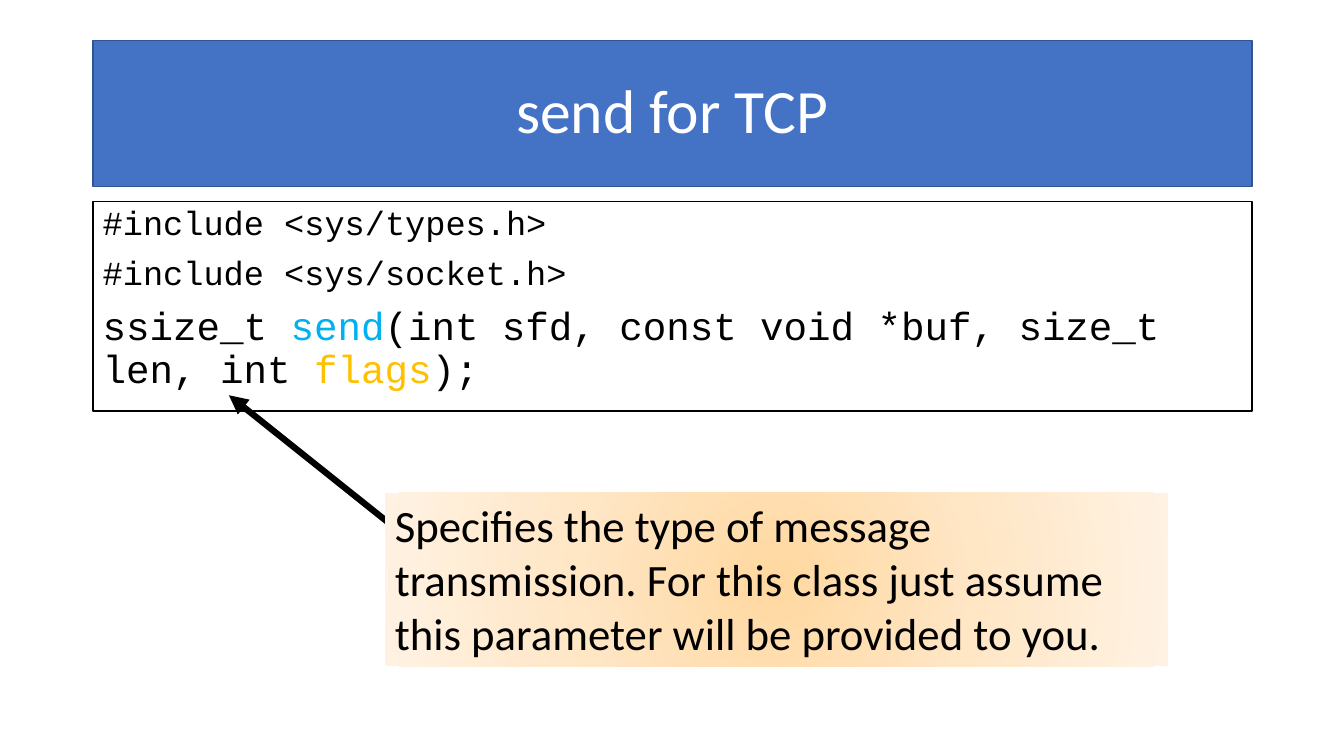
from lxml import etree
from pptx import Presentation
from pptx import util as u
from pptx.dml.color import RGBColor
from pptx.enum import shapes, text
from pptx.oxml import parse_xml
from pptx.oxml.ns import nsdecls, qn

INK = {
    "blue": "4472C4", "edge": "325491", "white": "FFFFFF", "black": "000000",
    "sky": "00B0F0", "gold": "FFC000",
    "core": "FFD8A0", "mid": "FFE6C5", "rim": "FFF2E3",
}


def rgb(name):
    return RGBColor.from_string(INK[name])


class Deck:
    sans, mono = "Calibri", "Courier New"

    def __init__(self):
        self.prs = Presentation()
        self.prs.slide_width, self.prs.slide_height = u.Cm(33.87), u.Cm(19.05)
        self.slide = self.prs.slides.add_slide(self.prs.slide_layouts[6])

    def box(self, left, top, wide, high, fill=None, line=None, anchor="TOP"):
        """Add a rectangle, with a solid fill and a line where given."""
        box = self.slide.shapes.add_shape(
            shapes.MSO_SHAPE.RECTANGLE, *map(u.Cm, (left, top, wide, high)))
        box.shadow.inherit = False
        if fill:
            box.fill.solid()
            box.fill.fore_color.rgb = rgb(fill)
        if line:
            box.line.color.rgb = rgb(line)
            box.line.width = u.Pt(1)
        else:
            box.line.fill.background()
        box.text_frame.word_wrap = True
        box.text_frame.vertical_anchor = text.MSO_ANCHOR[anchor]
        return box

    def glow(self, box, *stops):
        """Fill a box with a round gradient from its centre outwards."""
        box.fill.gradient()
        props = box._element.spPr
        step = 100000 // (len(stops) - 1)
        marks = "".join(
            f'<a:gs pos="{i * step}"><a:srgbClr val="{INK[name]}"/></a:gs>'
            for i, name in enumerate(stops))
        new = parse_xml(
            f'<a:gradFill {nsdecls("a")} rotWithShape="1"><a:gsLst>{marks}</a:gsLst>'
            '<a:path path="circle"><a:fillToRect l="50000" t="50000" r="50000" b="50000"/>'
            '</a:path></a:gradFill>')
        props.replace(props.find(qn("a:gradFill")), new)

    def label(self, box, rows, font, align="LEFT", color="black", space=None, lead=None):
        """Put in rows of (size, runs); a run is a string or (string, colour)."""
        frame = box.text_frame
        for i, (size, runs) in enumerate(rows):
            para = frame.add_paragraph() if i else frame.paragraphs[0]
            para.alignment = text.PP_ALIGN[align]
            para.line_spacing = lead
            para.space_before = space
            para.font.name, para.font.size = font, u.Pt(size)
            para.font.color.rgb = rgb(color)
            for item in runs:
                words, tint = (item, color) if isinstance(item, str) else item
                run = para.add_run()
                run.text = words
                run.font.color.rgb = rgb(tint)

    def arrow(self, start, end, width):
        wire = self.slide.shapes.add_connector(
            shapes.MSO_CONNECTOR.STRAIGHT, *map(u.Cm, start + end))
        wire.line.color.rgb = rgb("black")
        wire.line.width = u.Pt(width)
        props = wire._element.spPr
        etree.SubElement(props.find(qn("a:ln")), qn("a:tailEnd"), type="triangle")
        etree.SubElement(props, qn("a:effectLst"))


def main():
    deck = Deck()
    left, wide = 2.34, 29.21

    # Title bar
    title = deck.box(left, 1.02, wide, 3.68, "blue", "edge", "MIDDLE")
    deck.label(title, [(44, ["send for TCP"])], deck.sans, "CENTER", "white", lead=0.9)

    # Function signature
    code = deck.box(left, 5.08, wide, 5.28, "white", "black")
    deck.label(code, [
        (24, ["#include <sys/types.h>"]),
        (24, ["#include <sys/socket.h>"]),
        (28, ["ssize_t ", ("send", "sky"),
              "(int sfd, const void *buf, size_t len, int ",
              ("flags", "gold"), ");"]),
    ], deck.mono, space=u.Pt(10), lead=0.9)

    # Arrow from the note to the parameter
    deck.arrow((11.33, 14.4), (5.77, 9.96), 4.5)

    # Note on the flags
    note = deck.box(9.7, 12.42, 19.74, 4.37)
    deck.glow(note, "core", "mid", "rim")
    deck.label(note, [(32, [
        "Specifies the type of message transmission. For this class just assume "
        "this parameter will be provided to you."])], deck.sans)

    deck.prs.save("out.pptx")


if __name__ == "__main__":
    main()
